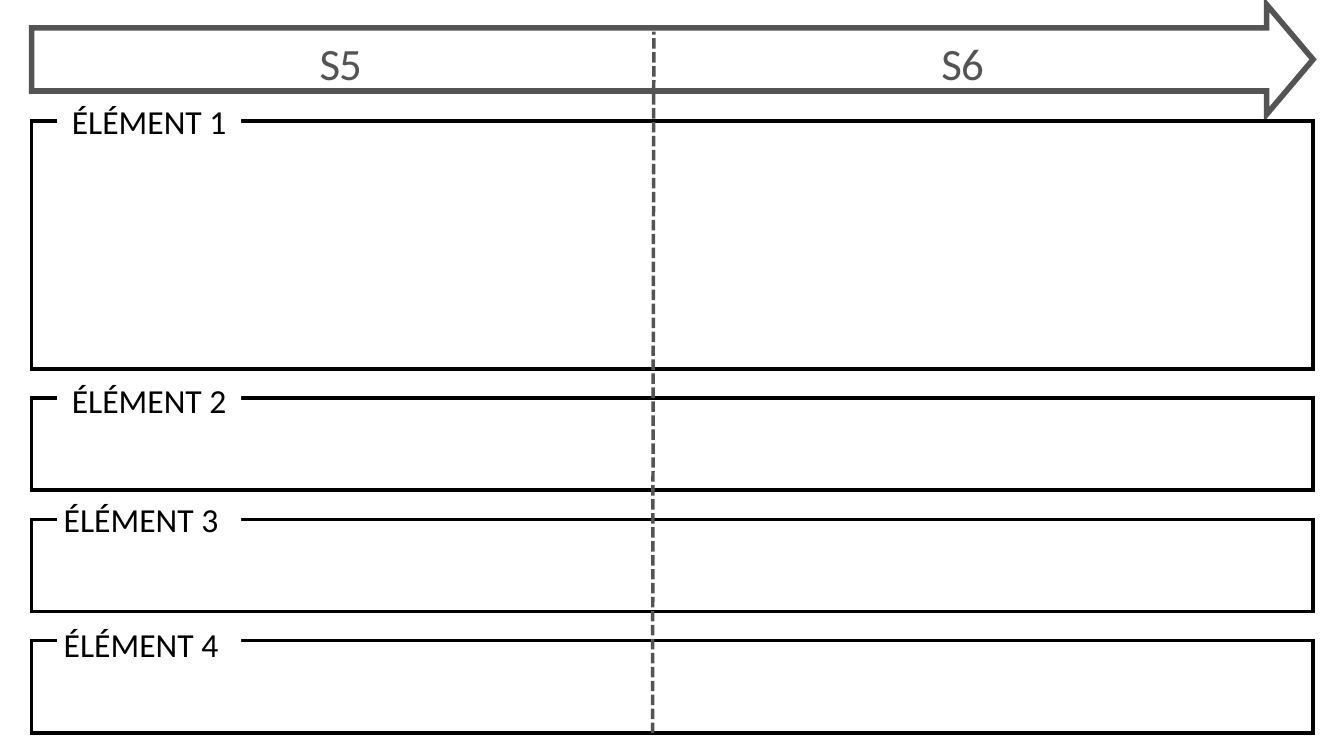
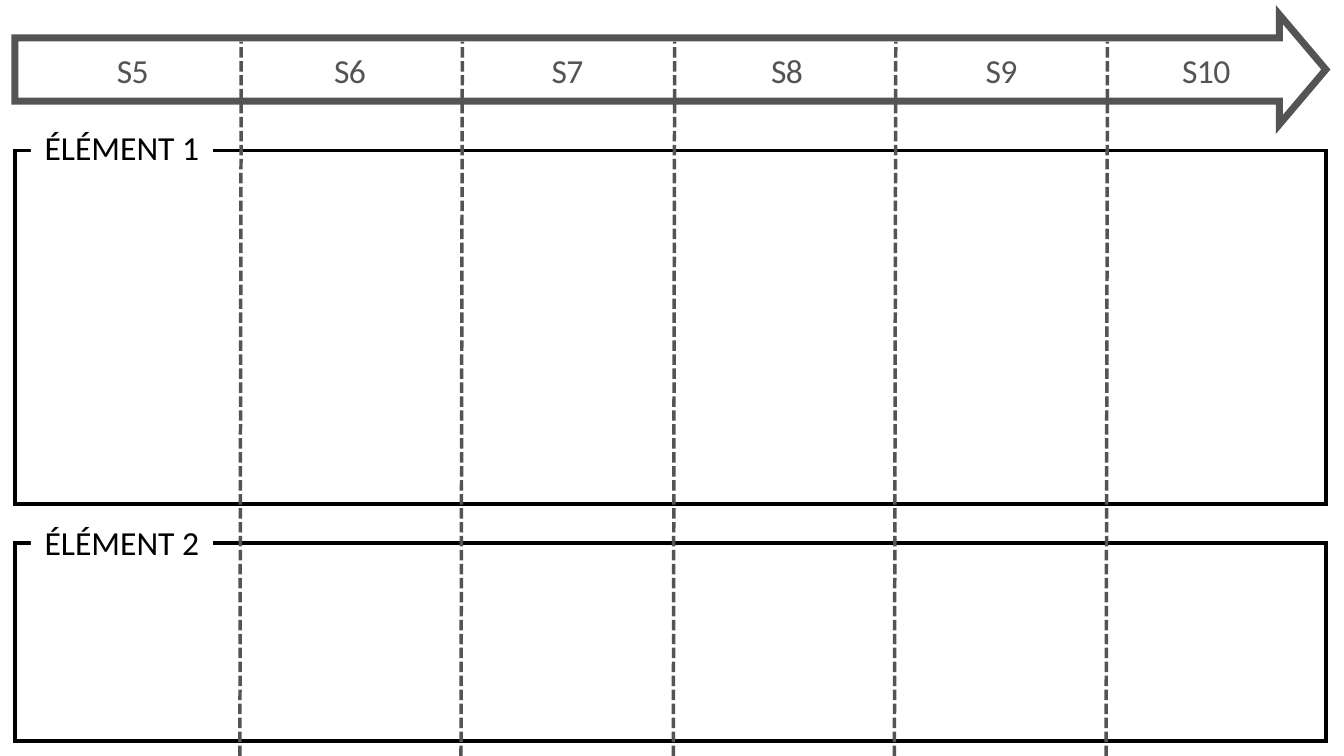
"""Build two semester timelines with framed elements below an arrow."""
from dataclasses import dataclass

from lxml.etree import SubElement
from pptx import Presentation
from pptx.dml.color import RGBColor
from pptx.enum.dml import MSO_LINE
from pptx.enum.shapes import MSO_CONNECTOR, MSO_SHAPE
from pptx.enum.text import MSO_ANCHOR, PP_ALIGN
from pptx.oxml.ns import qn
from pptx.util import Inches, Pt


@dataclass(frozen=True)
class Theme:
    font: str = "Calibri"
    timeline: RGBColor = RGBColor(0x54, 0x54, 0x54)
    frame: RGBColor = RGBColor(0, 0, 0)
    paper: RGBColor = RGBColor(255, 255, 255)
    label_size: float = 36
    line_width: float = 3.75
    line_ratio: float = 1.3
    body_height: float = 0.94
    head_length: float = 0.69


theme = Theme()


def add_text(slide, text, box, size, color, align=PP_ALIGN.CENTER,
             anchor=MSO_ANCHOR.TOP, fill=None, insets=(0, 0), leading=None, tracking=None):
    textbox = slide.shapes.add_textbox(*map(Inches, box))
    frame = textbox.text_frame
    frame.word_wrap = True
    frame.vertical_anchor = anchor
    frame.margin_left = frame.margin_right = Inches(insets[0])
    frame.margin_top = frame.margin_bottom = Inches(insets[1])
    if fill is not None:
        textbox.fill.solid()
        textbox.fill.fore_color.rgb = fill
    paragraph = frame.paragraphs[0]
    paragraph.alignment = align
    if leading:
        paragraph.line_spacing = Pt(leading)
    run = paragraph.add_run()
    run.text = text
    run.font.name = theme.font
    run.font.size = Pt(size)
    run.font.color.rgb = color
    if tracking:
        run.font._element.set("spc", str(int(tracking * 100)))


def add_outline(slide, kind, box, color, width):
    outline = slide.shapes.add_shape(kind, *map(Inches, box))
    outline.shadow.inherit = False
    outline.fill.background()
    outline.line.color.rgb = color
    outline.line.width = Pt(width)
    SubElement(outline.line._get_or_add_ln(), qn("a:miter"), lim="800000")
    return outline


timelines = [
    {
        "arrow": (0.47, 0.07, 19.07, 1.63), "arrow_line": 6,
        "semesters": [("S5", 0.5, 9.14), ("S6", 9.81, 9.03)],
        "semester_top": 0.46, "semester_height": 0.83,
        "semester_size": 48, "tracking": -1,
        "dividers": [9.71], "divider_top": 0.47, "divider_bottom": 10.91,
        "label_left": 0.85, "label_width": 2.74,
        "elements": [
            (1.8, 3.69, 1.49, PP_ALIGN.CENTER),
            (5.92, 1.37, 5.6, PP_ALIGN.CENTER),
            (7.73, 1.37, 7.38, PP_ALIGN.LEFT),
            (9.53, 1.38, 9.23, PP_ALIGN.LEFT),
        ],
    },
    {
        "arrow": (0.22, 0.22, 19.51, 1.63), "arrow_line": 7.5,
        "semesters": [("S5", 0.39, 3.17), ("S6", 3.56, 3.3), ("S7", 6.86, 3.17),
                      ("S8", 10.1, 3.22), ("S9", 13.33, 3.15), ("S10", 16.47, 2.96)],
        "semester_top": 0.7, "semester_height": 0.63,
        "semester_size": 36, "tracking": -0.7,
        "dividers": [3.57, 6.86, 10.02, 13.31, 16.46],
        "divider_top": 0.62, "divider_bottom": 11.25,
        "label_left": 0.46, "label_width": 2.71,
        "elements": [
            (2.24, 5.26, 1.88, PP_ALIGN.CENTER),
            (8.08, 2.95, 7.71, PP_ALIGN.CENTER),
        ],
    },
]

presentation = Presentation()
presentation.slide_width = Inches(20)
presentation.slide_height = Inches(11.25)

for timeline in timelines:
    slide = presentation.slides.add_slide(presentation.slide_layouts[6])
    left, _, width, arrow_height = timeline["arrow"]
    arrow = add_outline(slide, MSO_SHAPE.RIGHT_ARROW, timeline["arrow"],
                        theme.timeline, timeline["arrow_line"])
    arrow.adjustments[0] = theme.body_height / arrow_height
    arrow.adjustments[1] = theme.head_length / arrow_height

    for top, height, _, _ in timeline["elements"]:
        add_outline(slide, MSO_SHAPE.RECTANGLE, (left, top, width, height),
                    theme.frame, theme.line_width)

    for x in timeline["dividers"]:
        divider = slide.shapes.add_connector(
            MSO_CONNECTOR.STRAIGHT, Inches(x), Inches(timeline["divider_bottom"]),
            Inches(x + 0.02), Inches(timeline["divider_top"]))
        divider.line.color.rgb = theme.timeline
        divider.line.width = Pt(theme.line_width)
        divider.line.dash_style = MSO_LINE.SQUARE_DOT
        SubElement(divider._element.spPr, qn("a:effectLst"))

    for semester, semester_left, semester_width in timeline["semesters"]:
        add_text(slide, semester,
                 (semester_left, timeline["semester_top"],
                  semester_width, timeline["semester_height"]),
                 size=timeline["semester_size"], color=theme.timeline,
                 leading=timeline["semester_size"] * theme.line_ratio,
                 tracking=timeline["tracking"])

    for number, (_, _, label_top, align) in enumerate(timeline["elements"], start=1):
        add_text(slide, f"ÉLÉMENT {number}",
                 (timeline["label_left"], label_top, timeline["label_width"], 0.61),
                 size=theme.label_size, color=theme.frame, align=align,
                 anchor=MSO_ANCHOR.MIDDLE if number == 1 else MSO_ANCHOR.TOP,
                 fill=theme.paper, insets=(0.1, 0.05))

presentation.save("out.pptx")
